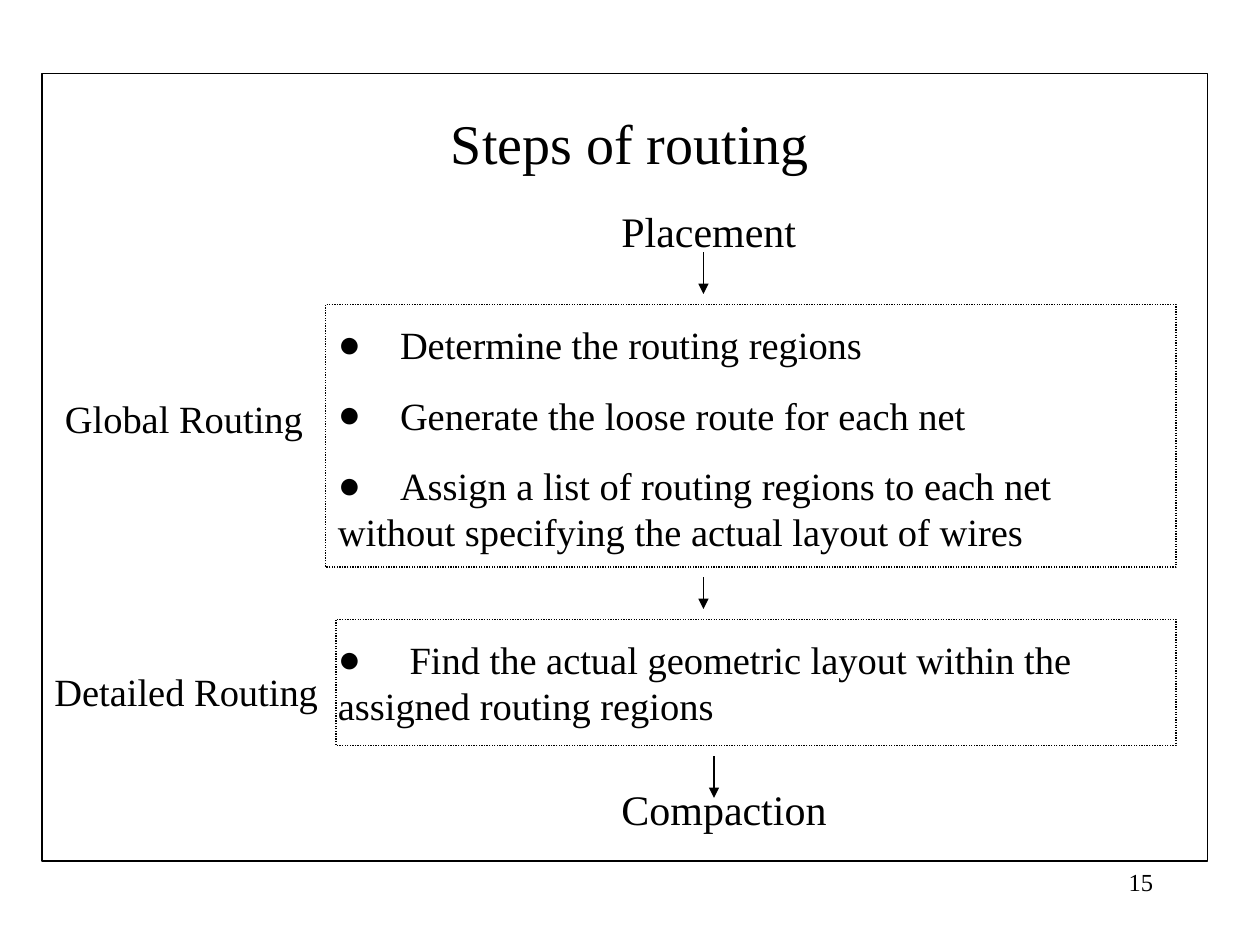
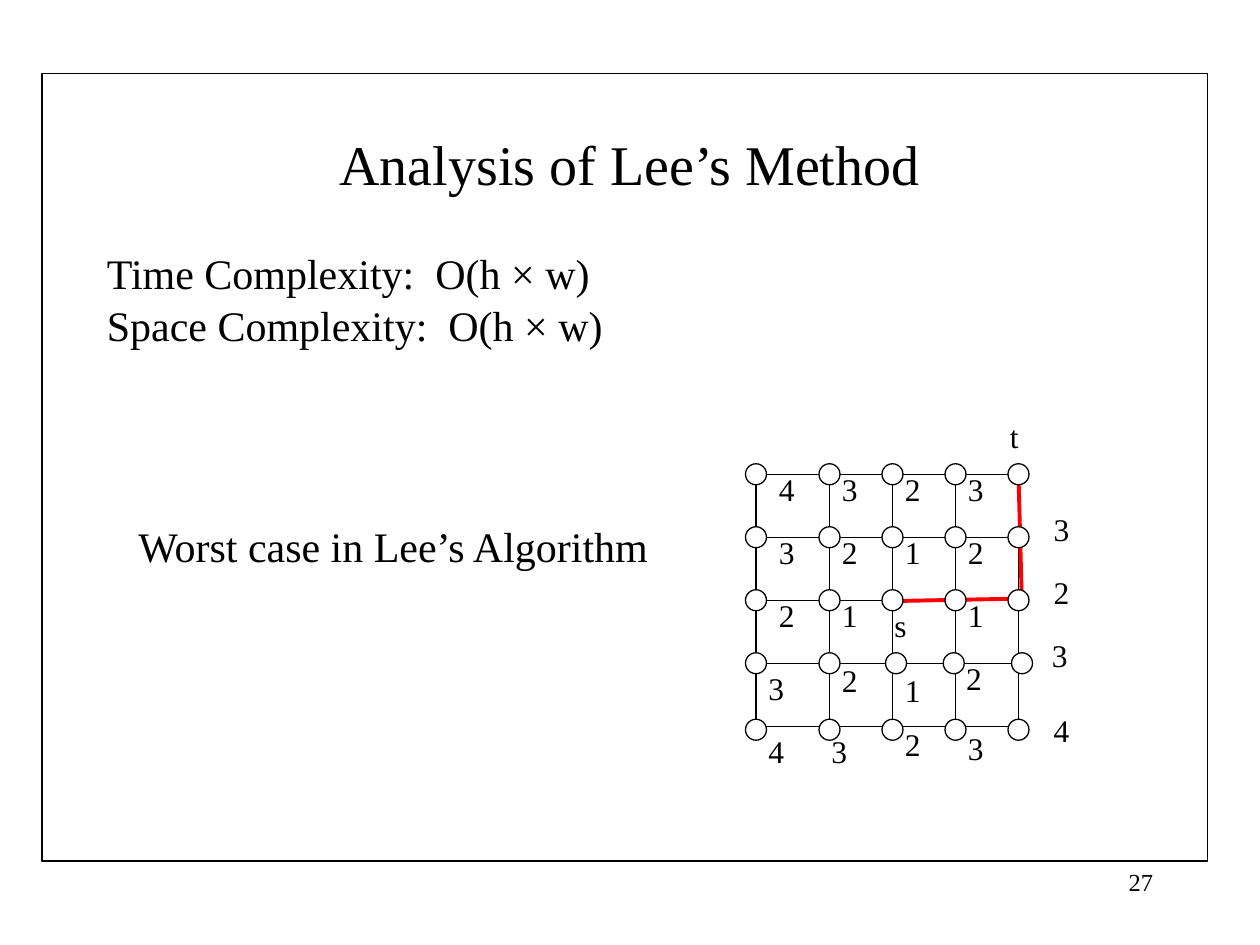
from lxml import etree
from pptx import Presentation
from pptx.dml.color import RGBColor
from pptx.enum.dml import MSO_LINE
from pptx.enum.shapes import MSO_CONNECTOR, MSO_SHAPE
from pptx.enum.text import MSO_ANCHOR, PP_ALIGN
from pptx.oxml.ns import qn
from pptx.util import Pt

BLACK = RGBColor(0x00, 0x00, 0x00)
WHITE = RGBColor(0xFF, 0xFF, 0xFF)
RED = RGBColor(0xFF, 0x00, 0x00)
FONT = "Times New Roman"
BULLET_FONT = "Arial"
TITLE_ONLY = 5
STRAIGHT = MSO_CONNECTOR.STRAIGHT
RECT, OVAL = MSO_SHAPE.RECTANGLE, MSO_SHAPE.OVAL
DOTTED = MSO_LINE.ROUND_DOT
LEFT, CENTER, RIGHT = PP_ALIGN.LEFT, PP_ALIGN.CENTER, PP_ALIGN.RIGHT
MIDDLE = MSO_ANCHOR.MIDDLE

COLUMNS = (432, 474, 510, 546, 582)
NODE_ROWS = (271, 307, 343, 379, 417)
LINE_ROWS = [271 + 36 * i for i in range(5)]
NODE_SIZE = 12
NODE_SHIFTS = {(3, 2): 2, (3, 3): -1, (3, 4): 2}
DISTANCES = ("4323", "3212", "21s1", "3212", "4323")
LABEL_COLUMNS = (438, 474, 510, 546)
LABEL_SHIFTS = {
    (2, 2): (-6, 6),
    (3, 0): (-6, 6), (3, 1): (0, 1), (3, 2): (0, 7), (3, 3): (-1, 0),
    (4, 0): (-6, 4), (4, 1): (-6, 4), (4, 3): (0, 2),
}
EDGE_LABELS = (("t", 570, 235), ("3", 595, 288), ("2", 595, 324),
               ("3", 594, 360), ("4", 595, 403))


def fill_text(tf, text, size=24, align=LEFT, before=0, bullet_tab=None):
    """Write each line of text as one formatted paragraph."""
    tf.word_wrap = True
    for i, line in enumerate(text.split("\n")):
        p = tf.add_paragraph() if i else tf.paragraphs[0]
        if bullet_tab:
            add_bullet(p, bullet_tab)
            line = "\t" + line
        p.alignment = align
        if i:
            p.space_before = Pt(before)
        r = p.add_run()
        r.text = line
        r.font.name = FONT
        r.font.size = Pt(size)
        r.font.color.rgb = BLACK


def add_bullet(p, tab):
    """Give a paragraph a round bullet and one tab stop after it."""
    pPr = p._p.get_or_add_pPr()
    pPr.set("marL", "0")
    pPr.set("indent", "0")
    etree.SubElement(pPr, qn("a:buFont"), typeface=BULLET_FONT)
    etree.SubElement(pPr, qn("a:buChar"), char="●")
    tabs = etree.SubElement(pPr, qn("a:tabLst"))
    etree.SubElement(tabs, qn("a:tab"), pos=str(Pt(tab)), algn="l")


def add_text(s, text, left, top, width, height, **fmt):
    """Add a text box."""
    sp = s.shapes.add_textbox(Pt(left), Pt(top), Pt(width), Pt(height))
    fill_text(sp.text_frame, text, **fmt)


def add_outline(s, kind, left, top, width, height, fill=None, dash=None):
    """Add a preset shape with a thin black line."""
    sp = s.shapes.add_shape(kind, Pt(left), Pt(top), Pt(width), Pt(height))
    sp.shadow.inherit = False
    if fill is None:
        sp.fill.background()
    else:
        sp.fill.solid()
        sp.fill.fore_color.rgb = fill
    sp.line.color.rgb = BLACK
    sp.line.width = Pt(0.75)
    if dash:
        sp.line.dash_style = dash


def add_line(s, x1, y1, x2, y2, color=BLACK, width=0.75, arrow=False):
    """Add a straight line, with an arrowhead at its end if asked."""
    sp = s.shapes.add_connector(STRAIGHT, Pt(x1), Pt(y1), Pt(x2), Pt(y2))
    sp.line.color.rgb = color
    sp.line.width = Pt(width)
    if arrow:
        etree.SubElement(sp.line._get_or_add_ln(), qn("a:tailEnd"), type="triangle")
    etree.SubElement(sp._element.spPr, qn("a:effectLst"))


def add_slide(prs, title, title_top, number):
    """Add a slide with its title, frame and page number."""
    s = prs.slides.add_slide(prs.slide_layouts[TITLE_ONLY])
    sp = s.shapes.title
    sp.left, sp.top, sp.width, sp.height = Pt(54), Pt(title_top), Pt(612), Pt(90)
    sp.text_frame.vertical_anchor = MIDDLE
    fill_text(sp.text_frame, title, size=32, align=CENTER)
    add_outline(s, RECT, 24, 42, 666, 450)
    add_text(s, number, 516, 492, 150, 36, size=14, align=RIGHT)
    return s


def add_stage(s, name, name_box, frame, steps, steps_box, tab):
    """Add a named routing stage with its steps in a dotted frame."""
    add_outline(s, RECT, *frame, dash=DOTTED)
    add_text(s, name, *name_box, size=22)
    add_text(s, steps, *steps_box, size=22, before=13.8, bullet_tab=tab)


def add_label(s, text, left, top):
    """Add a small grid label."""
    add_text(s, text, left, top, 30, 29, size=18)


def add_grid(s):
    """Draw the routing grid, the found path, the nodes and the distances."""
    for y in LINE_ROWS:
        add_line(s, COLUMNS[0], y, COLUMNS[-1], y)
    for x in COLUMNS:
        add_line(s, x, LINE_ROWS[0], x, 421)
    add_line(s, 582, 271, 584, 347, color=RED, width=2.25)
    add_line(s, 586, 342, 510, 343.5, color=RED, width=2.25)
    for i, y in enumerate(NODE_ROWS):
        for j, x in enumerate(COLUMNS):
            left = x + NODE_SHIFTS.get((i, j), 0) - NODE_SIZE / 2
            add_outline(s, OVAL, left, y - NODE_SIZE / 2, NODE_SIZE, NODE_SIZE,
                        fill=WHITE)
    for i, row in enumerate(DISTANCES):
        for j, text in enumerate(row):
            dx, dy = LABEL_SHIFTS.get((i, j), (0, 0))
            add_label(s, text, LABEL_COLUMNS[j] + dx, NODE_ROWS[i] - 6 + dy)
    for label in EDGE_LABELS:
        add_label(s, *label)


def build_steps(prs):
    """Build the slide on the steps of routing."""
    s = add_slide(prs, "Steps of routing", 36, "15")
    add_text(s, "Placement", 348, 114, 128, 36)
    add_stage(s, "Global Routing", (30, 222, 162, 34), (186, 174, 486, 150),
              "Determine the routing regions\n"
              "Generate the loose route for each net\n"
              "Assign a list of routing regions to each net "
              "without specifying the actual layout of wires",
              (186, 180, 486, 140), 35.5)
    add_stage(s, "Detailed Routing", (24, 378, 168, 34), (192, 354, 480, 72),
              "Find the actual geometric layout within the "
              "assigned routing regions",
              (186, 360, 486, 60), 41)
    for x, y1, y2 in ((402, 144, 168), (402, 330, 348), (408, 432, 456)):
        add_line(s, x, y1, x, y2, arrow=True)
    add_text(s, "Compaction", 348, 444, 144, 36)


def build_analysis(prs):
    """Build the slide on the cost of the method."""
    s = add_slide(prs, "Analysis of Lee’s Method", 48, "27")
    add_text(s, "Time Complexity:  O(h × w)\nSpace Complexity:  O(h × w)",
             54, 138, 516, 65, before=1)
    add_text(s, "Worst case in Lee’s Algorithm", 72, 294, 330, 36)
    add_grid(s)


def main():
    """Build and save the presentation."""
    prs = Presentation()
    prs.slide_width, prs.slide_height = Pt(720), Pt(540)
    build_steps(prs)
    build_analysis(prs)
    prs.save("out.pptx")


if __name__ == "__main__":
    main()
